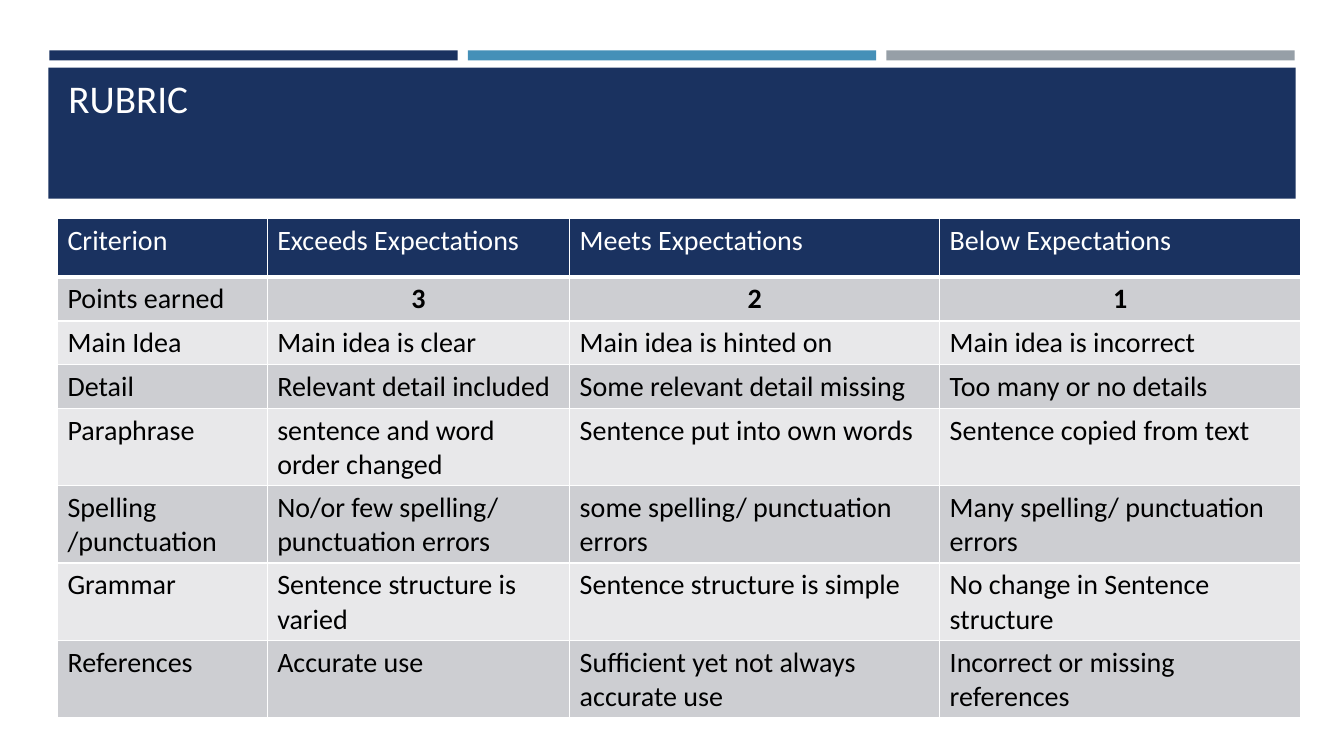
from lxml import etree
from pptx import Presentation
from pptx import util as u
from pptx.dml.color import RGBColor
from pptx.enum import shapes, text
from pptx.oxml import ns

NAVY = RGBColor(0x1A, 0x32, 0x60)
BLUE = RGBColor(0x45, 0x90, 0xB8)
GRAY = RGBColor(0x96, 0x9F, 0xA7)
DARK_BAND = RGBColor(0xCD, 0xCE, 0xD2)
LIGHT_BAND = RGBColor(0xE8, 0xE8, 0xEA)
WHITE = RGBColor(0xFF, 0xFF, 0xFF)
BLACK = RGBColor(0, 0, 0)

RUBRIC = [
    ["Criterion", "Exceeds Expectations", "Meets Expectations", "Below Expectations"],
    ["Points earned", "3", "2", "1"],
    ["Main Idea", "Main idea is clear", "Main idea is hinted on", "Main idea is incorrect"],
    ["Detail", "Relevant detail included", "Some relevant detail missing",
     "Too many or no details"],
    ["Paraphrase", "sentence and word order changed", "Sentence put into own words",
     "Sentence copied from text"],
    ["Spelling /punctuation", "No/or few spelling/ punctuation errors",
     "some spelling/ punctuation errors", "Many spelling/ punctuation errors"],
    ["Grammar", "Sentence structure is varied", "Sentence structure is simple",
     "No change in Sentence structure"],
    ["References", "Accurate use", "Sufficient yet not always accurate use",
     "Incorrect or missing references"],
]
COLUMN_WIDTHS = [2.08, 3, 3.67, 3.58]
HEADER_HEIGHT, ROW_HEIGHT = 0.58, 0.41


class SlideBuilder:
    font = "Calibri"

    def __init__(self, slide):
        self.slide = slide

    def bar(self, left, top, width, height, color):
        shape = self.slide.shapes.add_shape(
            shapes.MSO_SHAPE.RECTANGLE,
            *(u.Inches(n) for n in (left, top, width, height)))
        shape.shadow.inherit = False
        shape.fill.solid()
        shape.fill.fore_color.rgb = color
        shape.line.fill.background()

    def style(self, paragraph, size, color, bold=False):
        for run in paragraph.runs:
            run.font.name = self.font
            run.font.size = u.Pt(size)
            run.font.bold = bold
            run.font.color.rgb = color

    def title(self, wording, left, top, width, height):
        box = self.slide.shapes.add_textbox(
            *(u.Inches(n) for n in (left, top, width, height)))
        frame = box.text_frame
        frame.word_wrap = True
        frame.vertical_anchor = text.MSO_ANCHOR.BOTTOM
        frame.text = wording
        self.style(frame.paragraphs[0], 28, WHITE)

    def borders(self, cell, **widths):
        """Draw white cell borders; widths are points keyed by L, R, T and B."""
        properties = cell._tc.get_or_add_tcPr()
        for side, width in widths.items():
            line = etree.SubElement(properties, ns.qn(f"a:ln{side}"), w=str(u.Pt(width)))
            fill = etree.SubElement(line, ns.qn("a:solidFill"))
            etree.SubElement(fill, ns.qn("a:srgbClr"), val=str(WHITE))

    def table(self, rows, left, top, height):
        frame = self.slide.shapes.add_table(
            len(rows), len(COLUMN_WIDTHS), u.Inches(left), u.Inches(top),
            u.Inches(sum(COLUMN_WIDTHS)), u.Inches(height))
        table = frame.table
        for column, width in zip(table.columns, COLUMN_WIDTHS):
            column.width = u.Inches(width)
        for r, row in enumerate(rows):
            table.rows[r].height = u.Inches(ROW_HEIGHT if r else HEADER_HEIGHT)
            for c, wording in enumerate(row):
                self.cell(table.cell(r, c), wording, r)
        frame.height = u.Inches(height)

    def cell(self, cell, wording, row):
        self.borders(cell, L=1, R=1, T=3 if row == 1 else 1, B=1 if row else 3)
        cell.fill.solid()
        band = DARK_BAND if row % 2 else LIGHT_BAND
        cell.fill.fore_color.rgb = band if row else NAVY
        cell.text_frame.text = wording
        paragraph = cell.text_frame.paragraphs[0]
        is_score = wording.isdigit()
        if is_score:
            paragraph.alignment = text.PP_ALIGN.CENTER
        self.style(paragraph, 20, BLACK if row else WHITE, is_score)


def main():
    presentation = Presentation()
    presentation.slide_width = u.Inches(13.33)
    presentation.slide_height = u.Inches(7.5)
    builder = SlideBuilder(presentation.slides.add_slide(presentation.slide_layouts[6]))
    for i, color in enumerate([NAVY, BLUE, GRAY]):
        builder.bar(0.49 + 4.15 * i, 0.5, 4.05, 0.1, color)
    builder.bar(0.48, 0.67, 12.37, 1.3, NAVY)
    builder.title("RUBRIC", 0.58, 0.5, 8.44, 0.75)
    builder.table(RUBRIC, 0.57, 2.17, 4.95)
    presentation.save("out.pptx")


if __name__ == "__main__":
    main()
